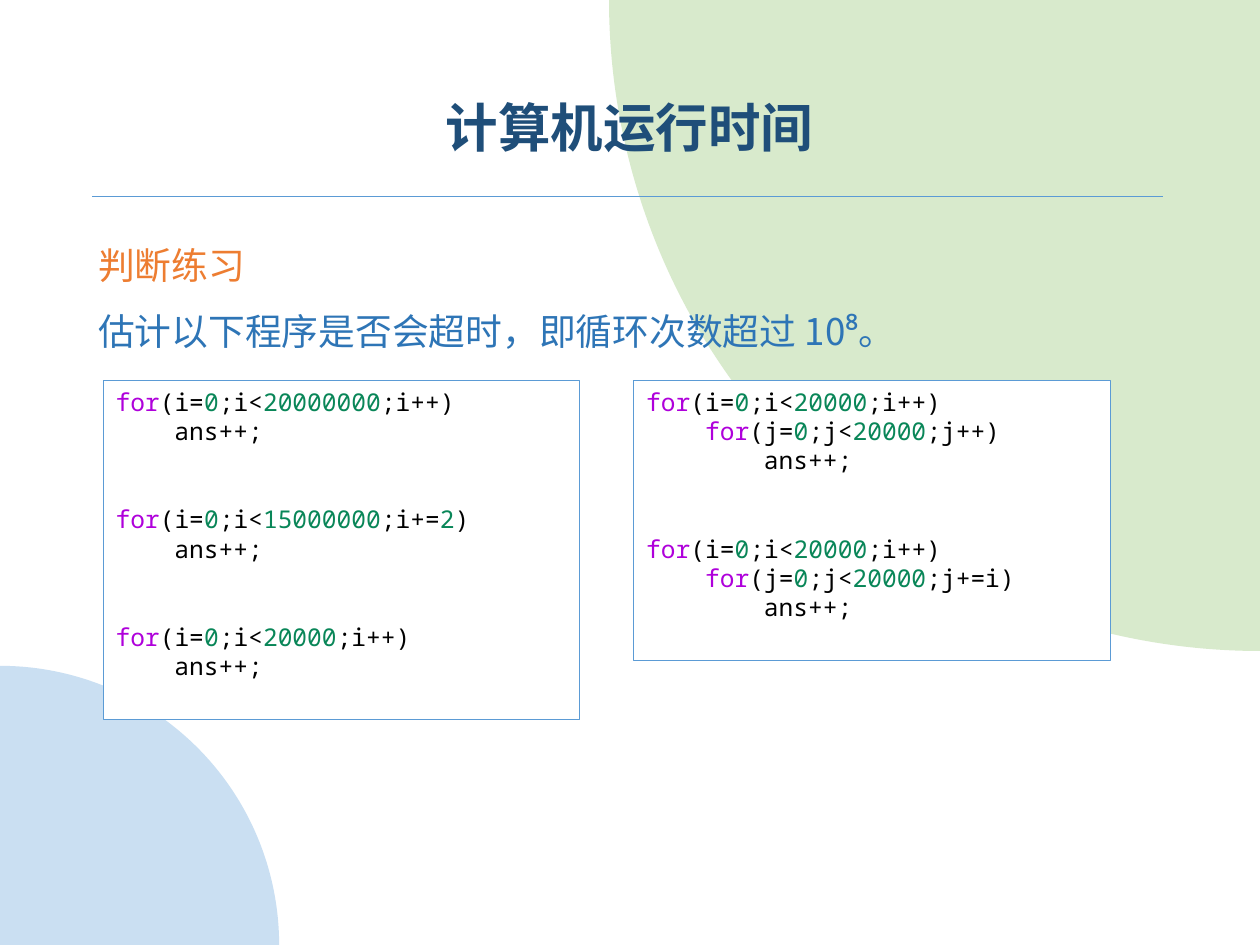
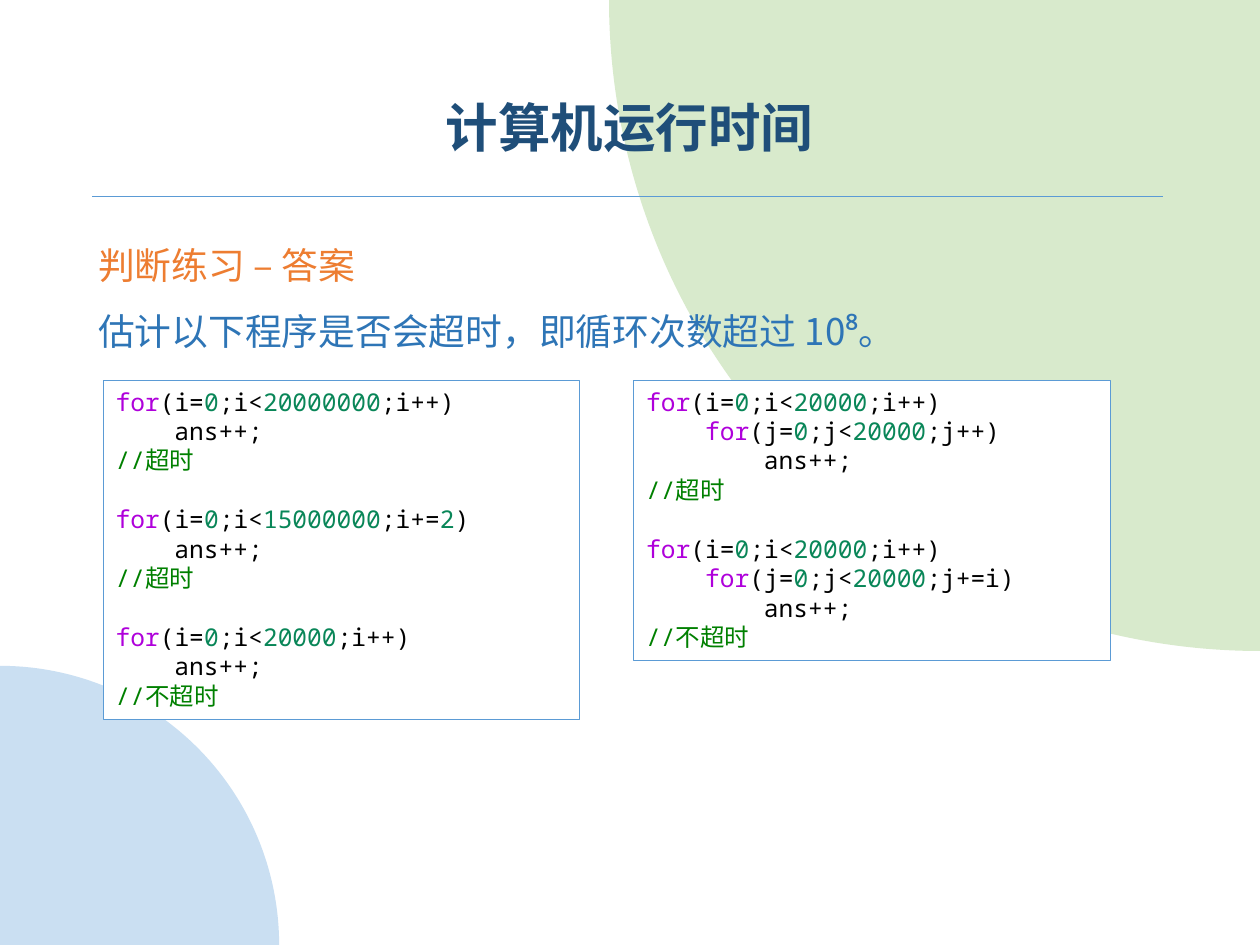
from itertools import groupby

from pptx import Presentation
from pptx import util as u
from pptx.dml.color import RGBColor
from pptx.enum import shapes, text
from pptx.oxml import xmlchemy
from pptx.oxml.ns import qn

Pt = u.Pt
COLORS = {
    "title": "1F4E79", "topic": "ED7D31", "body": "2E75B6", "rule": "5B9BD5",
    "green": "D8EACC", "blue": "CADFF2", "paper": "FFFFFF",
    "keyword": "AF00DB", "number": "098658", "code": "000000", "comment": "008000",
}
SANS, MONO = "Noto Sans CJK SC", "Noto Sans Mono"
CODE_LINE = 16.8  # height of one line of code, in points

TITLE = "计算机运行时间"
TASK = "估计以下程序是否会超时，即循环次数超过 10⁸。"
# Each panel is a list of (code lines, verdict).
SINGLE_LOOPS = [
    (["for(i=0;i<20000000;i++)", "    ans++;"], "超时"),
    (["for(i=0;i<15000000;i+=2)", "    ans++;"], "超时"),
    (["for(i=0;i<20000;i++)", "    ans++;"], "不超时"),
]
NESTED_LOOPS = [
    (["for(i=0;i<20000;i++)", "    for(j=0;j<20000;j++)", "        ans++;"], "超时"),
    (["for(i=0;i<20000;i++)", "    for(j=0;j<20000;j+=i)", "        ans++;"], "不超时"),
]


def set_all(target, values):
    for name, value in values.items():
        setattr(target, name, value)


def highlight(line):
    """Split a line of code into (text, colour name) pairs."""
    if line.startswith("//"):
        return [(line, "comment")]
    pieces = []
    for is_number, group in groupby(line, str.isdigit):
        part = "".join(group)
        if is_number:
            pieces.append((part, "number"))
        else:
            before, keyword, after = part.partition("for")
            pieces += [(before, "code"), (keyword, "keyword"), (after, "code")]
    return [piece for piece in pieces if piece[0]]


class SlideBuilder:
    def __init__(self, deck):
        self.deck = deck
        self.slide = None

    def color(self, name):
        return RGBColor.from_string(COLORS[name])

    def start_slide(self):
        """Add a slide with the corner arcs, the title and the rule below it."""
        self.slide = self.deck.slides.add_slide(self.deck.slide_layouts[6])
        self.corner(center=(720, 0), radius=372, rotation=270, fill="green")
        self.corner(center=(0, 540), radius=159.5, rotation=90, fill="blue")
        self.rule(52.6, 664.6, 112.3)
        frame = self.text_box(49, 36.7, 621.4, 57.6, text.MSO_ANCHOR.BOTTOM)
        para = frame.paragraphs[0]
        set_all(para, {"alignment": text.PP_ALIGN.CENTER, "line_spacing": 0.9})
        self.span(para, TITLE, "title", 30, SANS, bold=True)

    def shape(self, kind, left, top, width, height, fill):
        shape = self.slide.shapes.add_shape(
            kind, Pt(left), Pt(top), Pt(width), Pt(height))
        shape.shadow.inherit = False
        shape.fill.solid()
        shape.fill.fore_color.rgb = self.color(fill)
        shape.line.fill.background()
        return shape

    def corner(self, center, radius, rotation, fill):
        """Draw a quarter disc around a corner of the slide."""
        pie = self.shape(shapes.MSO_SHAPE.PIE, center[0] - radius,
                         center[1] - radius, 2 * radius, 2 * radius, fill)
        pie.adjustments[0], pie.adjustments[1] = 108, 162
        pie.rotation = rotation

    def rule(self, left, right, top):
        line = self.slide.shapes.add_connector(
            shapes.MSO_CONNECTOR.STRAIGHT, Pt(left), Pt(top), Pt(right), Pt(top))
        set_all(line.line, {"width": Pt(1)})
        line.line.color.rgb = self.color("rule")
        properties = line._element.spPr
        properties.append(xmlchemy.OxmlElement("a:effectLst"))

    def text_box(self, left, top, width, height, anchor=text.MSO_ANCHOR.TOP):
        box = self.slide.shapes.add_textbox(Pt(left), Pt(top), Pt(width), Pt(height))
        set_all(box.text_frame, {"word_wrap": True, "vertical_anchor": anchor})
        return box.text_frame

    def span(self, para, words, color, size, font, bold=False):
        span = para.add_run()
        span.text = words
        set_all(span.font, {"size": Pt(size), "name": font, "bold": bold})
        span.font.color.rgb = self.color(color)
        if font == SANS:
            east_asian = xmlchemy.OxmlElement("a:ea")
            east_asian.set("typeface", font)
            span.font._element.find(qn("a:latin")).addnext(east_asian)

    def body(self, topic):
        frame = self.text_box(49, 135.4, 621.4, 76)
        self.span(frame.paragraphs[0], topic, "topic", 21, SANS)
        para = frame.add_paragraph()
        para.space_before = Pt(12)
        self.span(para, TASK, "body", 21, SANS)

    def code_panel(self, left, height, loops, answered):
        """Draw a code box; without answers, their lines are left as room."""
        panel = self.shape(shapes.MSO_SHAPE.RECTANGLE, left, 217.4, 272.4, height, "paper")
        panel.line.color.rgb = self.color("rule")
        panel.line.width = Pt(0.75)
        frame = panel.text_frame
        set_all(frame, {"word_wrap": True, "vertical_anchor": text.MSO_ANCHOR.TOP})
        gap = CODE_LINE * (1 if answered else 2)
        para = frame.paragraphs[0]
        for loop_index, (code, verdict) in enumerate(loops):
            lines = code + ["//" + verdict] if answered else code
            for line_index, line in enumerate(lines):
                if loop_index or line_index:
                    para = frame.add_paragraph()
                if loop_index and not line_index:
                    para.space_before = Pt(gap)
                para.alignment = text.PP_ALIGN.LEFT
                for words, color in highlight(line):
                    self.span(para, words, color, 14, MONO)


def main():
    deck = Presentation()
    set_all(deck, {"slide_width": Pt(720), "slide_height": Pt(540)})
    builder = SlideBuilder(deck)
    for topic, answered in [("判断练习", False), ("判断练习 – 答案", True)]:
        builder.start_slide()
        builder.body(topic)
        builder.code_panel(59, 193.7, SINGLE_LOOPS, answered)
        builder.code_panel(362.2, 160, NESTED_LOOPS, answered)
    deck.save("out.pptx")


if __name__ == "__main__":
    main()
